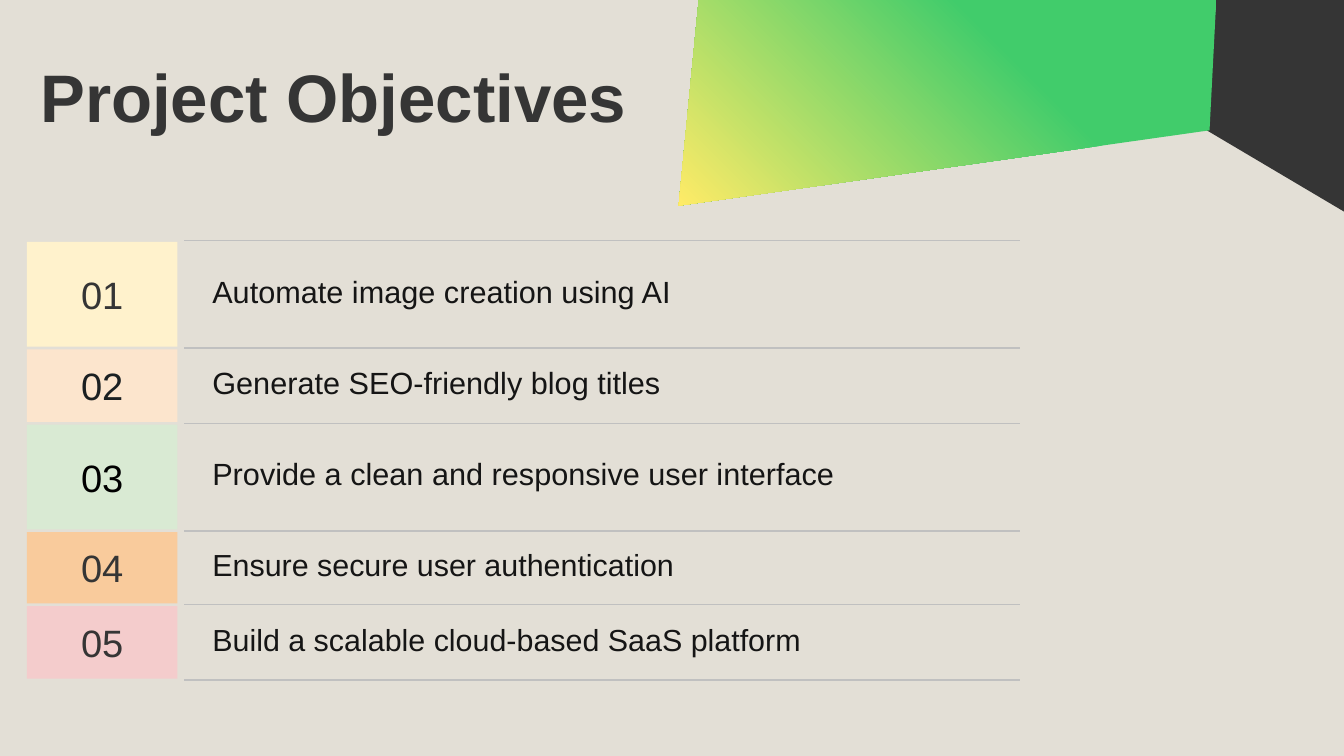
from copy import deepcopy

from pptx import Presentation
from pptx.dml.color import RGBColor
from pptx.enum.shapes import MSO_CONNECTOR as Connector, MSO_SHAPE as Shape
from pptx.enum.text import MSO_ANCHOR as Anchor, MSO_AUTO_SIZE as AutoSize, PP_ALIGN as Align
from pptx.oxml.ns import qn
from pptx.util import Inches, Pt

TITLE = "Project Objectives"
OBJECTIVES = [
    ("Automate image creation using AI", 0.8, "FFF2CC", "353535", 16.4),
    ("Generate SEO-friendly blog titles", 0.56, "FCE5CD", "1B2022", 16.4),
    ("Provide a clean and responsive user interface", 0.8, "D9EAD3", "000000", 16.4),
    ("Ensure secure user authentication", 0.55, "F9CB9C", "353535", 16.3),
    ("Build a scalable cloud-based SaaS platform", 0.56, "F4CCCC", "353535", 16.3),
]
DARK_CORNER = [(8.98, 0.97), (10.01, 1.58), (10.01, -0.01), (9.05, -0.01)]
GREEN_PANEL = [(5.2, -0.01), (5.05, 1.53), (9, 0.97), (9.05, 0)]

THEME = {
    "font": "Arial",
    "background": "E3DFD6",
    "dark": "353535",
    "body": "151515",
    "rule": "C0C0C0",
    "gradient": [(0, "41CC6B"), (0.35, "41CC6B"), (1, "FFEB67")],
    "title_size": 36,
    "number_size": 20.4,
    "rule_width": 0.75,
}

WIDTH = 10
HEIGHT = WIDTH * 9 / 16
TABLE_TOP = 1.79
TILE_LEFT, TILE_WIDTH, TILE_GAP = 0.2, 1.12, 0.01
RULE_LEFT, RULE_RIGHT = 1.37, 7.59
TEXT_LEFT, TEXT_INSET = 1.49, 0.08


def color(name):
    return RGBColor.from_string(THEME.get(name, name))


def box(left, top, width, height):
    return [Inches(value) for value in (left, top, width, height)]


def set_all(target, values):
    for name, value in values.items():
        setattr(target, name, value)


def write(shape, text, size, ink, align=Align.LEFT, spacing=1.0, inset=0.09,
          anchor=Anchor.MIDDLE, bold=False, auto_size=AutoSize.NONE):
    frame = shape.text_frame
    frame.text = text
    margins = {f"margin_{side}": Inches(inset) for side in ("left", "right", "top", "bottom")}
    set_all(frame, {"word_wrap": True, "vertical_anchor": anchor, "auto_size": auto_size, **margins})
    paragraph = frame.paragraphs[0]
    set_all(paragraph, {"alignment": align, "line_spacing": spacing})
    font = paragraph.runs[0].font
    set_all(font, {"name": THEME["font"], "size": Pt(size), "bold": bold})
    font.color.rgb = color(ink)


def fill_plain(shape, name):
    shape.shadow.inherit = False
    shape.line.fill.background()
    shape.fill.solid()
    shape.fill.fore_color.rgb = color(name)


def add_polygon(slide, points):
    corners = [(Inches(x), Inches(y)) for x, y in points]
    builder = slide.shapes.build_freeform(*corners[0])
    builder.add_line_segments(corners[1:], close=True)
    shape = builder.convert_to_shape()
    fill_plain(shape, "dark")
    return shape


def fill_gradient(shape, stops, angle):
    shape.fill.gradient()
    shape.fill.gradient_angle = angle
    stop_list = shape.element.find(".//" + qn("a:gsLst"))
    stop_list.insert(1, deepcopy(stop_list[0]))
    for stop, (position, name) in zip(shape.fill.gradient_stops, stops):
        stop.position = position
        stop.color.rgb = color(name)


def add_rule(slide, y):
    ends = box(RULE_LEFT, y, RULE_RIGHT, y)
    rule = slide.shapes.add_connector(Connector.STRAIGHT, *ends)
    rule.line.color.rgb = color("rule")
    rule.line.width = Pt(THEME["rule_width"])
    properties = rule.element.spPr
    properties.append(properties.makeelement(qn("a:effectLst"), {}))


def add_objective(slide, number, text, top, height, tile_color, ink, size):
    tile = slide.shapes.add_shape(
        Shape.RECTANGLE,
        *box(TILE_LEFT, top + TILE_GAP, TILE_WIDTH, height - 2 * TILE_GAP))
    fill_plain(tile, tile_color)
    write(tile, f"{number:02}", THEME["number_size"], ink, align=Align.CENTER)
    label = slide.shapes.add_textbox(
        *box(TEXT_LEFT, top + TEXT_INSET, RULE_RIGHT - TEXT_LEFT, height - 2 * TEXT_INSET))
    write(label, text, size, "body", spacing=0.8)


def main():
    presentation = Presentation()
    set_all(presentation, {"slide_width": Inches(WIDTH), "slide_height": Inches(HEIGHT)})
    slide = presentation.slides.add_slide(presentation.slide_layouts[5])
    slide.background.fill.solid()
    slide.background.fill.fore_color.rgb = color("background")

    add_polygon(slide, DARK_CORNER)
    fill_gradient(add_polygon(slide, GREEN_PANEL), THEME["gradient"], 225)

    title = slide.shapes.title
    set_all(title, dict(zip(("left", "top", "width", "height"), box(0.2, 0.38, 4.75, 0.75))))
    write(title, TITLE, THEME["title_size"], "dark", spacing=0.9, inset=0.1,
          anchor=Anchor.TOP, bold=True, auto_size=AutoSize.SHAPE_TO_FIT_TEXT)

    top = TABLE_TOP
    add_rule(slide, top)
    for number, (text, height, tile_color, ink, size) in enumerate(OBJECTIVES, 1):
        add_objective(slide, number, text, top, height, tile_color, ink, size)
        top += height
        add_rule(slide, top)

    presentation.save("out.pptx")


if __name__ == "__main__":
    main()
